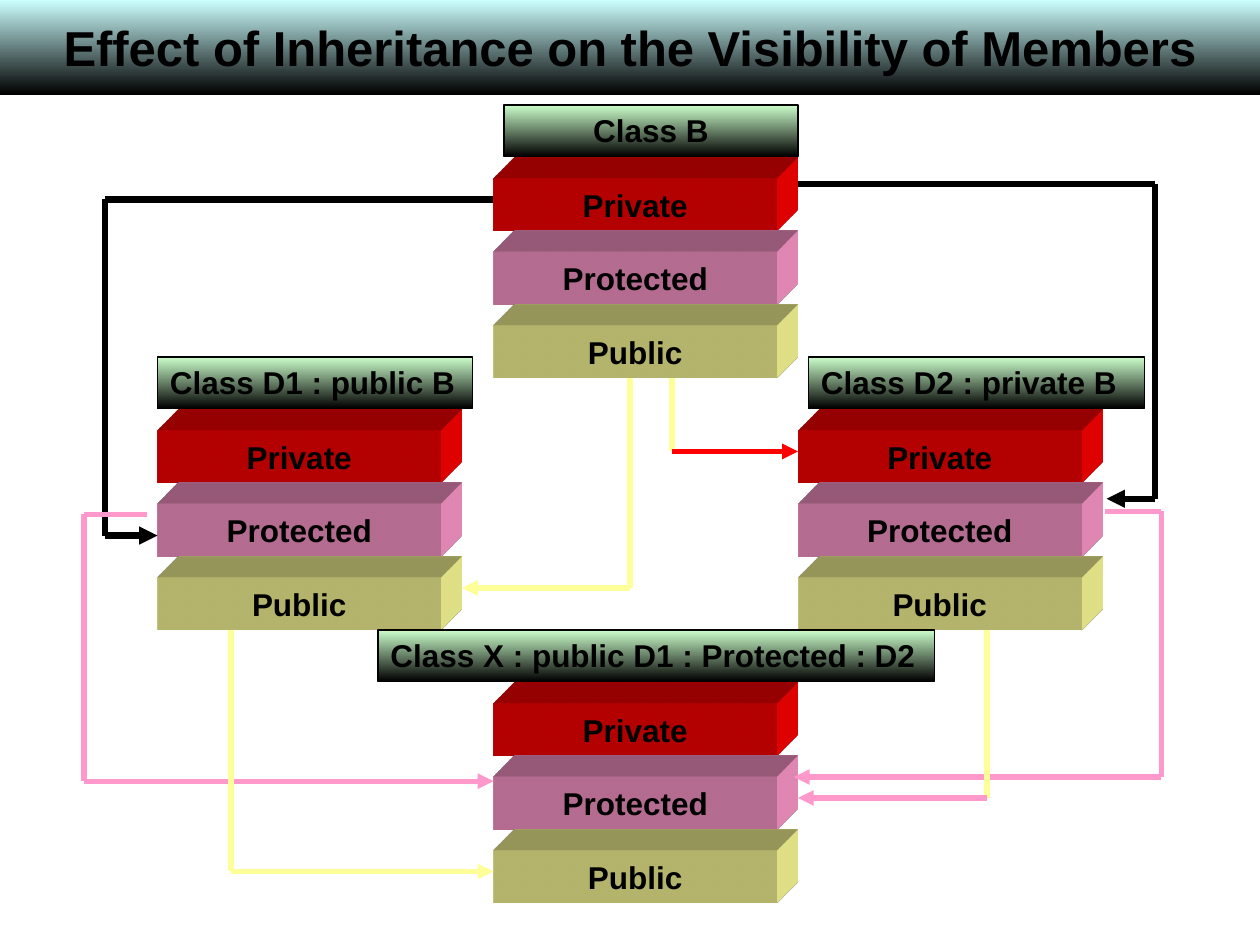
"""Build a slide on how inheritance affects the visibility of class members."""
from dataclasses import dataclass
from itertools import pairwise

from lxml import etree
from pptx import Presentation
from pptx.dml.color import RGBColor
from pptx.enum.shapes import MSO_CONNECTOR, MSO_SHAPE
from pptx.enum.text import MSO_ANCHOR, PP_ALIGN
from pptx.oxml import parse_xml
from pptx.oxml.ns import qn
from pptx.shapes.autoshape import Shape
from pptx.slide import Slide
from pptx.util import Inches, Pt

RECTANGLE = MSO_SHAPE.RECTANGLE
STRAIGHT = MSO_CONNECTOR.STRAIGHT
MIDDLE = MSO_ANCHOR.MIDDLE
TOP = MSO_ANCHOR.TOP
CENTER = PP_ALIGN.CENTER
LEFT = PP_ALIGN.LEFT

BLACK = RGBColor(0x00, 0x00, 0x00)
RED = RGBColor(0xFF, 0x00, 0x00)
PINK = RGBColor(0xFF, 0x99, 0xCC)
YELLOW = RGBColor(0xFF, 0xFF, 0x99)
PALE_CYAN = RGBColor(0xCC, 0xFF, 0xFF)
PALE_GREEN = RGBColor(0xCC, 0xFF, 0xCC)

FONT = "Arial"
COLUMNS, ROWS = 120, 90
CELL = Inches(10) / COLUMNS
MEMBER_WIDTH, MEMBER_HEIGHT, MEMBER_STEP = 27, 5, 7
LABEL_HEIGHT = 4.9
MEMBERS = (("Private", RED), ("Protected", PINK), ("Public", YELLOW))
DRAWING_NAMESPACE = "http://schemas.openxmlformats.org/drawingml/2006/main"


@dataclass(frozen=True)
class ClassBlock:
    """A class label above its stack of members, in grid cells."""

    label: str
    column: float
    row: float
    label_column: float
    label_width: float
    label_align: PP_ALIGN = LEFT


@dataclass(frozen=True)
class Route:
    """A bent arrow through grid points, with one colour for each leg."""

    points: tuple[tuple[float, float], ...]
    colors: tuple[RGBColor, ...]
    weight: float = 3


BLOCKS = (
    ClassBlock("Class B", 47, 17, 48, 28, CENTER),
    ClassBlock("Class D1 : public B", 15, 41, 15, 30),
    ClassBlock("Class D2 : private B", 76, 41, 77, 32),
    ClassBlock("Class X : public D1 : Protected : D2", 47, 67, 36, 53),
)
ROUTES = (
    Route(((47, 19), (10, 19), (10, 51), (15, 51)), (BLACK,) * 3, 3.5),
    Route(((76, 17.5), (110, 17.5), (110, 47.5), (105.4, 47.5)), (BLACK,) * 3, 3.5),
    Route(((14, 49), (8, 49), (8, 74.4), (47, 74.4)), (PINK,) * 3),
    Route(((105.2, 48.7), (110.6, 48.7), (110.6, 74), (75.6, 74)), (PINK,) * 3),
    Route(((94, 60), (94, 76), (76, 76)), (YELLOW, PINK)),
    Route(((22, 60), (22, 83), (47, 83)), (YELLOW, YELLOW)),
    Route(((64, 36), (64, 43), (76, 43)), (YELLOW, RED)),
    Route(((60, 36), (60, 56), (44, 56)), (YELLOW, YELLOW)),
)


def cells(count: float) -> int:
    """Turn grid cells into a length."""
    return round(count * CELL)


def add_box(slide: Slide, column: float, row: float, width: float, height: float,
            text: str, size: float = 18, align: PP_ALIGN = CENTER) -> Shape:
    """Add a borderless rectangle with one bold line of text."""
    box = slide.shapes.add_shape(
        RECTANGLE, cells(column), cells(row), cells(width), cells(height))
    box.shadow.inherit = False
    box.line.fill.background()
    box.text_frame.vertical_anchor = MIDDLE
    para = box.text_frame.paragraphs[0]
    para.alignment = align
    span = para.add_run()
    span.text = text
    span.font.name = FONT
    span.font.size = Pt(size)
    span.font.bold = True
    span.font.color.rgb = BLACK
    return box


def shade(box: Shape, color: RGBColor) -> None:
    """Fill a box from a colour at the top to black at the bottom."""
    box.fill.gradient()
    box.fill.gradient_angle = 270
    for stop, stop_color in zip(box.fill.gradient_stops, (color, BLACK)):
        stop.color.rgb = stop_color


def extrude(box: Shape, color: RGBColor) -> None:
    """Give a box depth towards the top right."""
    properties = box.element.spPr
    properties.append(parse_xml(
        f'<a:scene3d xmlns:a="{DRAWING_NAMESPACE}">'
        '<a:camera prst="legacyObliqueTopRight"/>'
        '<a:lightRig rig="legacyFlat3" dir="b"/></a:scene3d>'))
    properties.append(parse_xml(
        f'<a:sp3d xmlns:a="{DRAWING_NAMESPACE}" extrusionH="430200" '
        'prstMaterial="legacyMatte">'
        '<a:bevelT w="13500" h="13500" prst="angle"/>'
        '<a:bevelB w="13500" h="13500" prst="angle"/>'
        f'<a:extrusionClr><a:srgbClr val="{color}"/></a:extrusionClr></a:sp3d>'))


def add_members(slide: Slide, block: ClassBlock) -> None:
    """Stack the member boxes of a class."""
    for index, (name, color) in enumerate(MEMBERS):
        box = add_box(slide, block.column, block.row + index * MEMBER_STEP,
                      MEMBER_WIDTH, MEMBER_HEIGHT, name)
        box.text_frame.word_wrap = False
        box.fill.solid()
        box.fill.fore_color.rgb = color
        extrude(box, color)


def add_label(slide: Slide, block: ClassBlock) -> None:
    """Add the label of a class above its members."""
    box = add_box(slide, block.label_column, block.row - MEMBER_STEP,
                  block.label_width, LABEL_HEIGHT, block.label,
                  align=block.label_align)
    box.text_frame.vertical_anchor = TOP
    box.text_frame.word_wrap = True
    shade(box, PALE_GREEN)
    box.line.color.rgb = BLACK
    box.line.width = Pt(0.75)


def add_route(slide: Slide, route: Route) -> None:
    """Draw the legs of a route as a group, with an arrowhead on the last leg."""
    group = slide.shapes.add_group_shape()
    for (start, end), color in zip(pairwise(route.points), route.colors):
        leg = group.shapes.add_connector(STRAIGHT, *map(cells, start + end))
        leg.line.color.rgb = color
        leg.line.width = Pt(route.weight)
        etree.SubElement(leg.element.spPr, qn("a:effectLst"))
    etree.SubElement(leg.line._get_or_add_ln(), qn("a:tailEnd"), type="triangle")


def main() -> None:
    """Build and save the deck."""
    deck = Presentation()
    deck.slide_width = cells(COLUMNS)
    deck.slide_height = cells(ROWS)
    slide = deck.slides.add_slide(deck.slide_layouts[6])
    title = add_box(slide, 0, 0, COLUMNS, 9,
                    "Effect of Inheritance on the Visibility of Members", 28)
    shade(title, PALE_CYAN)
    for block in BLOCKS:
        add_members(slide, block)
    for block in BLOCKS:
        add_label(slide, block)
    for route in ROUTES:
        add_route(slide, route)
    deck.save("out.pptx")


if __name__ == "__main__":
    main()
